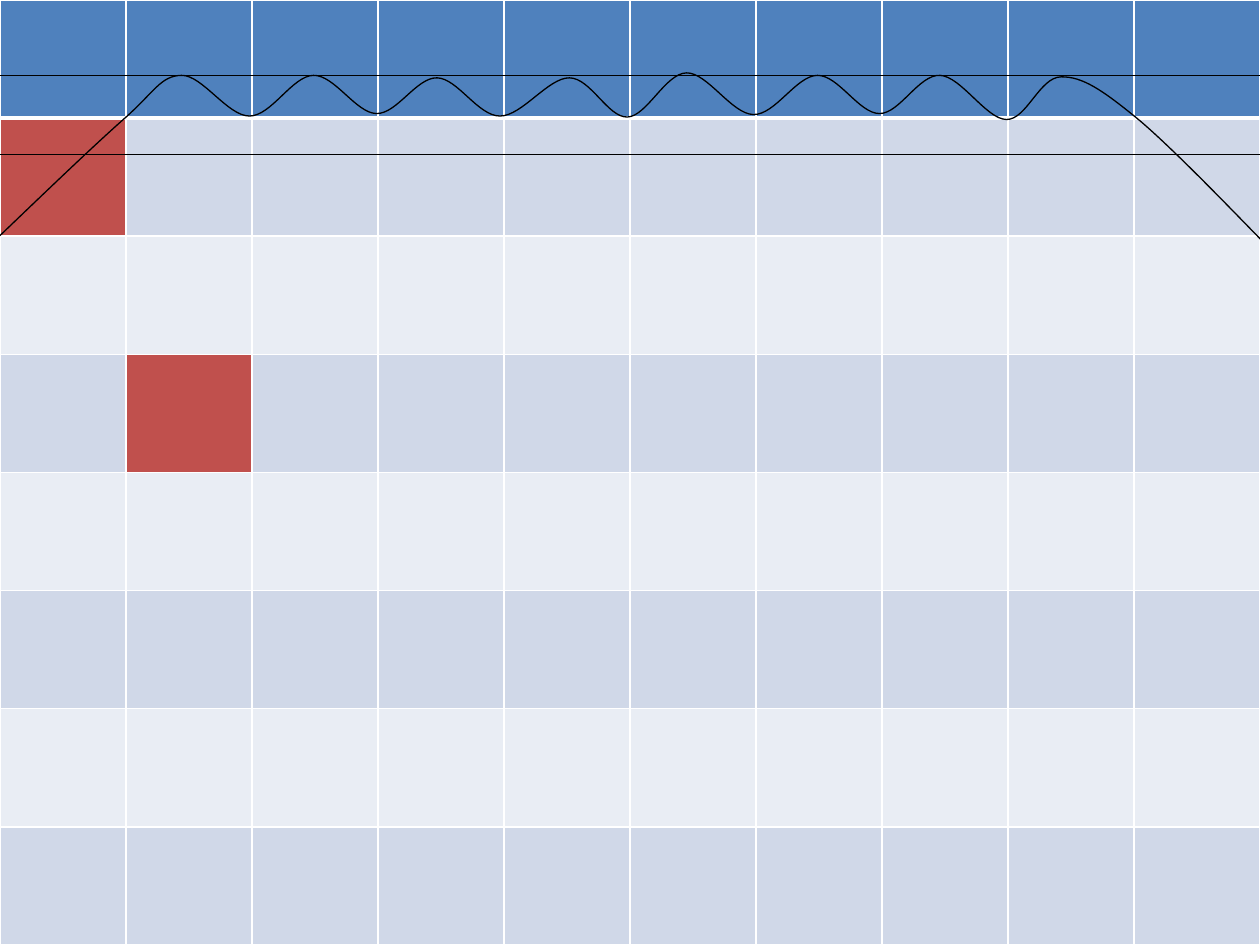
from lxml import etree
from pptx import Presentation
from pptx.dml.color import RGBColor
from pptx.oxml import ns
from pptx.util import Cm, Pt

WHITE = RGBColor(0xFF, 0xFF, 0xFF)
BLACK = RGBColor(0, 0, 0)
BLUE = RGBColor(0x4F, 0x81, 0xBD)
RED = RGBColor(0xC0, 0x50, 0x4D)
BANDS = (RGBColor(0xE9, 0xED, 0xF4), RGBColor(0xD0, 0xD8, 0xE8))

ROWS, COLS = 8, 10
RED_CELLS = {(1, 0), (3, 1)}
RULES = (1.52, 3.12)
WAVE = [(0, 4.75), (2.51, 2.39), (3.66, 1.52), (5.03, 2.34), (6.32, 1.52),
        (7.59, 2.29), (8.81, 1.57), (10.08, 2.34), (11.48, 1.57),
        (12.65, 2.36), (13.84, 1.47), (15.19, 2.31), (16.48, 1.52),
        (17.73, 2.29), (18.95, 1.52), (20.29, 2.41), (21.39, 1.55),
        (22.89, 2.36), (25.37, 4.78), (25.93, 5.46)]


def set_borders(cell, **widths):
    tcPr = cell._tc.get_or_add_tcPr()
    for side, width in widths.items():
        ln = etree.SubElement(tcPr, ns.qn(f"a:ln{side}"), w=str(Pt(width)))
        fill = etree.SubElement(ln, ns.qn("a:solidFill"))
        etree.SubElement(fill, ns.qn("a:srgbClr"), val=str(WHITE))


def cell_color(row, col):
    if row == 0:
        return BLUE
    return RED if (row, col) in RED_CELLS else BANDS[row % 2]


def add_grid(s, left, top, width, height):
    table = s.shapes.add_table(ROWS, COLS, left, top, width, height).table
    for row in range(ROWS):
        for col in range(COLS):
            cell = table.cell(row, col)
            set_borders(cell, L=1, R=1, T=3 if row == 1 else 1,
                        B=3 if row == 0 else 1)
            cell.fill.solid()
            cell.fill.fore_color.rgb = cell_color(row, col)


def style_line(sp):
    sp.line.color.rgb = BLACK
    sp.line.width = Pt(0.75)


def add_rules(s, left, top, width):
    for offset in RULES:
        y = top + Cm(offset)
        cxn = s.shapes.add_connector(1, left, y, left + width, y)
        style_line(cxn)
        etree.SubElement(cxn._element.spPr, ns.qn("a:effectLst"))


def smooth_segments(pts):
    def slope(i):
        return [(b - a) / 6 for a, b in zip(pts[i - 1], pts[i + 1])]

    def midpoint(a, b):
        return [(m + n) / 2 for m, n in zip(a, b)]

    last = len(pts) - 1
    for i in range(last):
        start, end = pts[i], pts[i + 1]
        c1 = [p + d for p, d in zip(start, slope(i))] if i else None
        c2 = [p - d for p, d in zip(end, slope(i + 1))] if i + 1 < last else None
        yield c1 or midpoint(start, c2), c2 or midpoint(c1, end), end


def add_wave(s, left, top):
    pts = [(left + Cm(x), top + Cm(y)) for x, y in WAVE]
    builder = s.shapes.build_freeform(*pts[0])
    builder.add_line_segments(pts[1:], close=False)
    sp = builder.convert_to_shape()
    sp.shadow.inherit = False
    sp.fill.background()
    style_line(sp)
    lines = list(sp._element.iter(ns.qn("a:lnTo")))
    for line, segment in zip(lines, smooth_segments(pts)):
        curve = etree.Element(ns.qn("a:cubicBezTo"))
        for x, y in segment:
            etree.SubElement(curve, ns.qn("a:pt"), x=str(round(x - sp.left)),
                             y=str(round(y - sp.top)))
        line.getparent().replace(line, curve)


def build_slide(prs):
    s = prs.slides.add_slide(prs.slide_layouts[6])
    width, height = prs.slide_width, prs.slide_height
    add_grid(s, 0, 0, width, height)
    add_rules(s, 0, 0, width)
    add_wave(s, 0, 0)


prs = Presentation()
prs.slide_width, prs.slide_height = Cm(25.4), Cm(19.05)
build_slide(prs)
prs.save("out.pptx")
